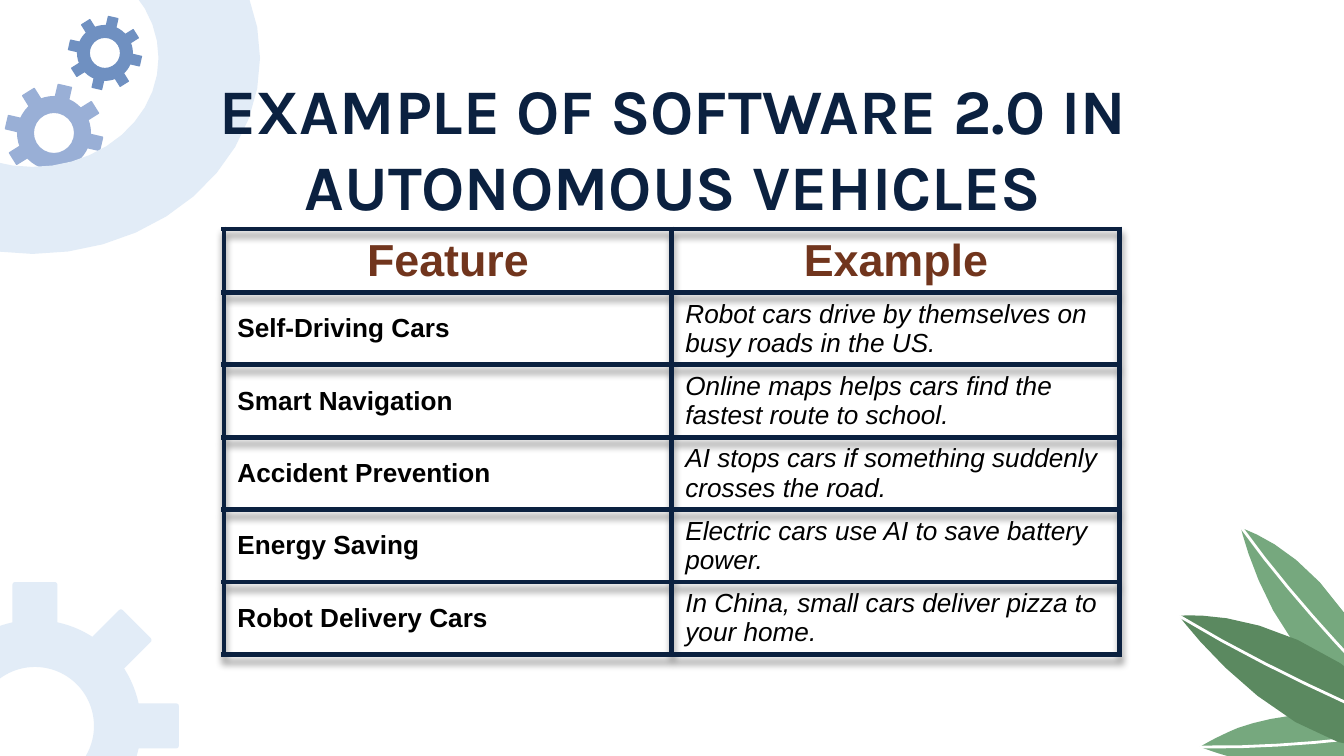
from collections import namedtuple
from dataclasses import dataclass
from math import cos, pi, radians, sin

from lxml import etree
from pptx import Presentation
from pptx import util as u
from pptx.dml.color import RGBColor
from pptx.enum import shapes, text
from pptx.oxml import parse_xml
from pptx.oxml.ns import nsdecls, qn

SCALE = u.Inches(10) / 1344  # EMU in one px
Box = namedtuple("Box", "left top width height")


@dataclass(frozen=True)
class Theme:
    navy: str = "0B2140"
    brown: str = "71351D"
    black: str = "000000"
    white: str = "FFFFFF"
    pale: str = "E2ECF7"
    lilac: str = "99AFD6"
    blue: str = "6F90C1"
    leaf: str = "76A87E"
    dark_leaf: str = "5B8960"
    title_font: str = "Karla"
    table_font: str = "Arial"
    title_size: int = 34
    header_size: int = 24
    cell_size: int = 14
    border: int = 3


THEME = Theme()

ROWS = [
    ("Feature", "Example"),
    ("Self-Driving Cars", "Robot cars drive by themselves on busy roads in the US."),
    ("Smart Navigation", "Online maps helps cars find the fastest route to school."),
    ("Accident Prevention", "AI stops cars if something suddenly crosses the road."),
    ("Energy Saving", "Electric cars use AI to save battery power."),
    ("Robot Delivery Cars", "In China, small cars deliver pizza to your home."),
]

# Each leaf: colour, blade curve, vein curve (start, then triples of Bezier points)
LEAVES = [
    (THEME.leaf,
     [(62, 1), (62, 1), (161, 29), (207, 173), (100, 164), (62, 1), (62, 1)],
     [(62, 0), (122, 84), (205, 165), (205, 167)]),
    (THEME.leaf,
     [(59, 201), (96, 188), (160, 176), (246, 204), (232, 219), (217, 230), (200, 235),
      (125, 262), (21, 220), (21, 220), (21, 220), (35, 211), (59, 201)],
     [(21, 220), (125, 222), (238, 203), (239, 203)]),
    (THEME.dark_leaf,
     [(0, 89), (0, 89), (130, 72), (252, 218), (125, 259), (0, 89), (0, 89)],
     [(0, 89), (112, 157), (247, 210), (248, 211)]),
]


def px(length):
    return round(length * SCALE)


def style(font, name, size, colour, bold=False, italic=False):
    font.name, font.size, font.bold, font.italic = name, u.Pt(size), bold, italic
    font.color.rgb = RGBColor.from_string(colour)


# Shapes and outlines
def paint(shape, fill):
    shape.shadow.inherit = False
    shape.fill.solid()
    shape.fill.fore_color.rgb = RGBColor.from_string(fill)
    shape.line.fill.background()


def add_preset(page, kind, box, adjustment, fill):
    shape = page.shapes.add_shape(kind, *map(px, box))
    shape.adjustments[0] = adjustment
    paint(shape, fill)
    return shape


def add_outline(page, contours, closed=True):
    contours = [[(px(x), px(y)) for x, y in contour] for contour in contours]
    builder = page.shapes.build_freeform(*contours[0][0])
    for number, contour in enumerate(contours):
        if number:
            builder.move_to(*contour[0])
        builder.add_line_segments(contour[1:], close=closed)
    return builder.convert_to_shape()


def ellipse(x, y, rx, ry, steps=40):
    angles = [2 * pi * step / steps for step in range(steps)]
    return [(x + rx * cos(a), y + ry * sin(a)) for a in angles]


def bezier(points, steps=8):
    curve = [points[0]]
    for first in range(0, len(points) - 1, 3):
        a, b, c, d = points[first:first + 4]
        for step in range(1, steps + 1):
            t = step / steps
            s = 1 - t
            curve.append(tuple(s**3 * p + 3 * s * s * t * q + 3 * s * t * t * r + t**3 * e
                               for p, q, r, e in zip(a, b, c, d)))
    return curve


# Decorations
def add_gear(page, box, root, hole, tooth, angles, fill):
    """Gear whose tooth tips reach the box; angles in degrees, clockwise from right."""
    x, y = box.left + box.width / 2, box.top + box.height / 2
    add_preset(page, shapes.MSO_SHAPE.DONUT, Box(x - root, y - root, 2 * root, 2 * root),
               (root - hole) / (2 * root), fill)
    reach = (box.width - tooth) / 2
    for angle in angles:
        middle_x, middle_y = x + reach * cos(radians(angle)), y + reach * sin(radians(angle))
        square = Box(middle_x - tooth / 2, middle_y - tooth / 2, tooth, tooth)
        shape = add_preset(page, shapes.MSO_SHAPE.ROUNDED_RECTANGLE, square, 0.06, fill)
        shape.rotation = angle


def add_ring(page, box, hole_width, hole_height, fill):
    x, y = box.left + box.width / 2, box.top + box.height / 2
    paint(add_outline(page, [ellipse(x, y, box.width / 2, box.height / 2),
                             ellipse(x, y, hole_width / 2, hole_height / 2)]), fill)


def add_foliage(page, box):
    for colour, blade, vein in LEAVES:
        blade, vein = ([(box.left + x, box.top + y) for x, y in bezier(part)]
                       for part in (blade, vein))
        paint(add_outline(page, [blade]), colour)
        rib = add_outline(page, [vein], closed=False)
        rib.shadow.inherit = False
        rib.fill.background()
        rib.line.color.rgb = RGBColor.from_string(THEME.white)
        rib.line.width = u.Pt(1.5)


# Heading
def add_title(page, box):
    title = page.shapes.title
    title.left, title.top, title.width, title.height = map(px, box)
    page.shapes._spTree.append(title._element)  # in front of the ring
    frame = title.text_frame
    frame.text = "EXAMPLE OF SOFTWARE 2.0 IN\nAUTONOMOUS VEHICLES"
    frame.word_wrap = True
    frame.auto_size = text.MSO_AUTO_SIZE.NONE
    frame.vertical_anchor = text.MSO_ANCHOR.TOP
    frame.margin_left = frame.margin_top = frame.margin_bottom = px(13)
    for para in frame.paragraphs:
        para.alignment = text.PP_ALIGN.CENTER
        style(para.runs[0].font, THEME.title_font, THEME.title_size, THEME.navy, bold=True)
    # The second line sits left of the centre; the first is indented back to it
    shift = 50
    frame.margin_right = px(13 + shift)
    first = frame.paragraphs[0]._p.get_or_add_pPr()
    first.set("marL", str(px(shift)))
    first.set("indent", "0")


# Table
def add_borders(cell):
    properties = cell._tc.get_or_add_tcPr()
    for position, side in enumerate("LRTB"):
        properties.insert(position, parse_xml(
            f'<a:ln{side} {nsdecls("a")} w="{u.Pt(THEME.border)}"><a:solidFill>'
            f'<a:srgbClr val="{THEME.navy}"/></a:solidFill></a:ln{side}>'))


def add_shadow(table):
    effects = etree.Element(qn("a:effectLst"))
    shadow = etree.SubElement(effects, qn("a:outerShdw"), blurRad=str(px(7)),
                              dist=str(px(6)), dir="5400000", algn="t", rotWithShape="0")
    colour = etree.SubElement(shadow, qn("a:srgbClr"), val=THEME.black)
    etree.SubElement(colour, qn("a:alpha"), val="40000")
    table._tbl.tblPr.insert(0, effects)


def add_feature_table(page, box, header_height):
    table = page.shapes.add_table(len(ROWS), len(ROWS[0]), *map(px, box)).table
    table.horz_banding = False
    add_shadow(table)
    row_height = (box.height - header_height) / (len(ROWS) - 1)
    for r, words in enumerate(ROWS):
        table.rows[r].height = px(row_height if r else header_height)
        for c, word in enumerate(words):
            cell = table.cell(r, c)
            cell.text = word
            cell.vertical_anchor = text.MSO_ANCHOR.MIDDLE
            cell.fill.background()
            add_borders(cell)
            para = cell.text_frame.paragraphs[0]
            para.alignment = text.PP_ALIGN.LEFT if r else text.PP_ALIGN.CENTER
            size, colour = ((THEME.cell_size, THEME.black) if r
                            else (THEME.header_size, THEME.brown))
            style(para.runs[0].font, THEME.table_font, size, colour,
                  bold=r == 0 or c == 0, italic=r > 0 and c == 1)


def main():
    deck = Presentation()
    deck.slide_width, deck.slide_height = px(1344), px(756)
    page = deck.slides.add_slide(deck.slide_layouts[5])
    around = range(13, 373, 45)
    add_foliage(page, Box(1179, 527, 252, 262))
    add_gear(page, Box(-109, 582, 288, 288), 106, 59, 45, (-90, -45, 0), THEME.pale)
    add_gear(page, Box(5, 84, 98, 98), 37, 20, 15, around, THEME.lilac)
    add_gear(page, Box(68, 16, 74, 74), 28, 15, 11, around, THEME.blue)
    add_ring(page, Box(-195, -138, 455, 392), 252, 218, THEME.pale)
    add_title(page, Box(105, 58, 1136, 172))
    add_feature_table(page, Box(224, 229, 896, 425), 63)
    deck.save("out.pptx")


if __name__ == "__main__":
    main()
